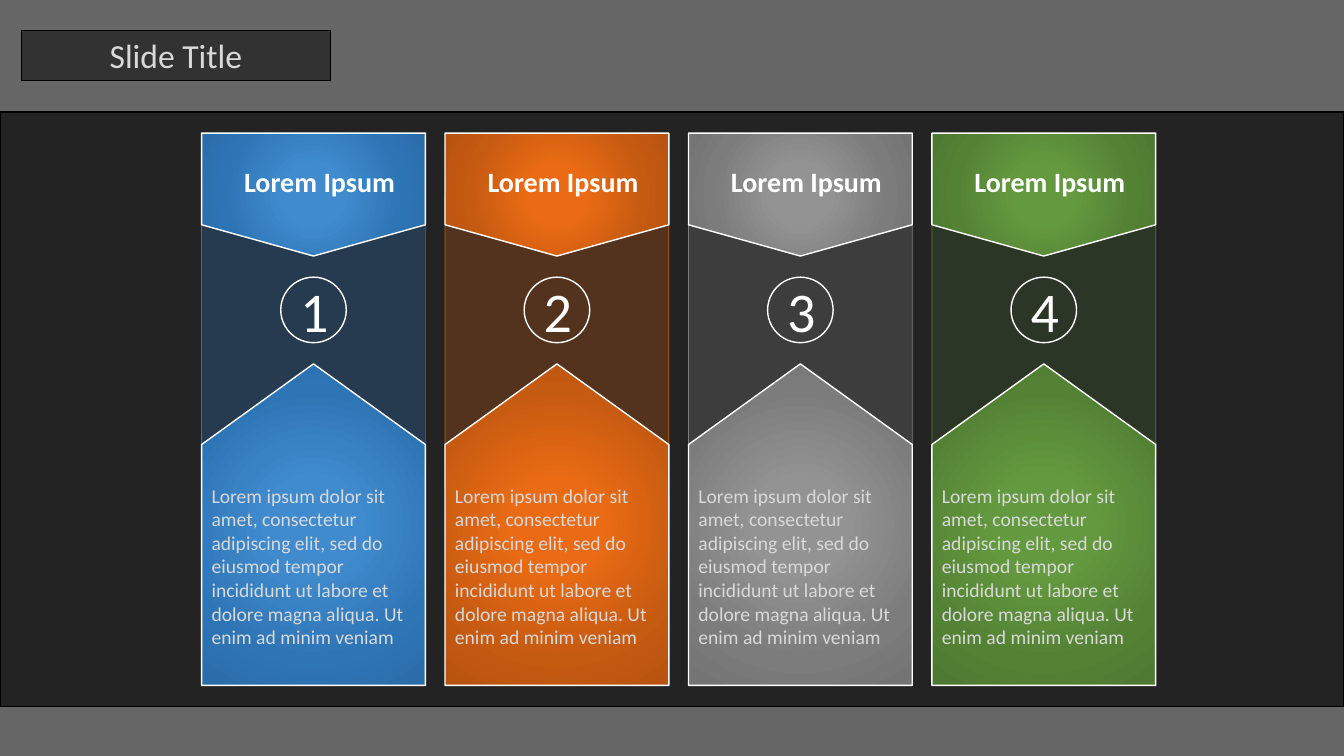
"""Build a dark slide with four numbered, arrow-shaped cards."""
from dataclasses import dataclass
from typing import Any

from lxml.etree import SubElement as Sub
from pptx import Presentation
from pptx.dml.color import RGBColor as Rgb
from pptx.enum.shapes import MSO_SHAPE as Kind
from pptx.enum.text import MSO_ANCHOR as Anchor
from pptx.enum.text import MSO_AUTO_SIZE as Fit
from pptx.enum.text import PP_ALIGN as Align
from pptx.oxml.ns import qn
from pptx.util import Emu, Pt

CELL = 91440
COLS, ROWS = 133.33, 75
LEFT, PITCH, WIDE = 20, 24.15, 22.2
HALF = WIDE / 2
Points = list[tuple[float, float]]

BACK: Points = [(0, 19.5), (HALF, 25.2), (WIDE, 21.8), (WIDE, 45.7),
                (HALF, 36.9), (0, 45.7), (0, 48.4)]
BACK.insert(1, (0, 21.8))
HEAD: Points = [(0, 13.2), (WIDE, 13.2), (WIDE, 22.3), (HALF, 25.4), (0, 22.3)]
BODY: Points = [(0, 68), (0, 44.1), (HALF, 36.1), (WIDE, 44.1), (WIDE, 68)]
LOREM = ("Lorem ipsum dolor sit amet, consectetur adipiscing elit, sed do "
         "eiusmod tempor incididunt ut labore et dolore magna aliqua. "
         "Ut enim ad minim veniam")


@dataclass(frozen=True)
class Theme:
    font: str = "Calibri"
    black: str = "000000"
    band: str = "0D0D0D"
    white: str = "FFFFFF"
    pale: str = "D9D9D9"
    title: int = 24
    head: int = 20
    body: int = 14
    digit: int = 40


@dataclass(frozen=True)
class Box:
    col: float
    row: float
    wide: float
    high: float

    def size(self) -> list[Emu]:
        return [unit(n) for n in (self.col, self.row, self.wide, self.high)]


@dataclass(frozen=True)
class Card:
    light: str
    main: str
    dark: str
    alpha: int = 30


THEME = Theme()
CARDS = [
    Card("408BCE", "2E75B6", "2B6DA9"),
    Card("EA6B14", "C55A11", "B85410"),
    Card("939393", "7C7C7C", "747474"),
    Card("649A3F", "548235", "4E7932", 20),
]


def unit(cells: float) -> Emu:
    return Emu(round(cells * CELL))


def edge(shape: Any, tint: str, width: float) -> None:
    shape.line.color.rgb = Rgb.from_string(tint)
    shape.line.width = Pt(width)


def flat(shape: Any, tint: str, alpha: int) -> None:
    shape.fill.solid()
    shape.fill.fore_color.rgb = Rgb.from_string(tint)
    solid = shape.element.spPr.find(qn("a:solidFill"))
    Sub(solid[0], qn("a:alpha"), val=str(alpha * 1000))


def glow(shape: Any, card: Card) -> None:
    shape.fill.gradient()
    grad = shape.element.spPr.find(qn("a:gradFill"))
    for part in list(grad):
        grad.remove(part)
    stops = Sub(grad, qn("a:gsLst"))
    for spot, tint in ((0, card.light), (23, card.light),
                       (69, card.main), (97, card.dark)):
        stop = Sub(stops, qn("a:gs"), pos=str(spot * 1000))
        Sub(stop, qn("a:srgbClr"), val=tint)
    path = Sub(grad, qn("a:path"), path="circle")
    Sub(path, qn("a:fillToRect"), l="50000", t="50000", r="50000", b="50000")


def write(shape: Any, text: str, size: int, tint: str,
          align: Align = Align.CENTER, bold: bool = False) -> Any:
    frame = shape.text_frame
    frame.text = text
    frame.word_wrap = True
    frame.vertical_anchor = Anchor.TOP
    para = frame.paragraphs[0]
    para.alignment = align
    font = para.runs[0].font
    font.name, font.size, font.bold = THEME.font, Pt(size), bold
    font.color.rgb = Rgb.from_string(tint)
    return frame


def form(shapes: Any, kind: Kind, box: Box) -> Any:
    shape = shapes.add_shape(kind, *box.size())
    shape.shadow.inherit = False
    return shape


def trace(shapes: Any, left: float, points: Points) -> Any:
    spots = [(unit(left + col), unit(row)) for col, row in points]
    pen = shapes.build_freeform(*spots[0])
    pen.add_line_segments(spots[1:], close=True)
    shape = pen.convert_to_shape()
    shape.shadow.inherit = False
    return shape


def shade(frame: Any) -> None:
    props = frame.paragraphs[0].runs[0].font.fill
    props.solid()
    props.fore_color.rgb = Rgb.from_string(THEME.white)
    run = frame.paragraphs[0].runs[0]
    solid = run.font.fill and run._r.rPr.find(qn("a:solidFill"))
    list_ = solid.makeelement(qn("a:effectLst"))
    solid.addnext(list_)
    cast = Sub(list_, qn("a:outerShdw"), blurRad="38100", dist="38100",
               dir="2700000", algn="tl")
    tint = Sub(cast, qn("a:srgbClr"), val=THEME.black)
    Sub(tint, qn("a:alpha"), val="43000")


def draw(shapes: Any, card: Card, rank: int) -> None:
    left = LEFT + PITCH * rank
    back = trace(shapes, left, BACK)
    flat(back, card.main, card.alpha)
    edge(back, card.main, 0.5)

    ring = form(shapes, Kind.OVAL, Box(left + 7.85, 27.5, 6.5, 6.5))
    ring.fill.background()
    edge(ring, THEME.white, 1)
    frame = write(ring, str(rank + 1), THEME.digit, THEME.white)
    frame.vertical_anchor = Anchor.MIDDLE

    group = shapes.add_group_shape()
    for owner, points in ((group.shapes, HEAD), (shapes, BODY)):
        panel = trace(owner, left, points)
        glow(panel, card)
        edge(panel, THEME.white, 1)

    label = group.shapes.add_textbox(*Box(left + 0.6, 15.8, WIDE, 4.4).size())
    frame = write(label, "Lorem Ipsum", THEME.head, THEME.white, bold=True)
    frame.auto_size = Fit.SHAPE_TO_FIT_TEXT
    shade(frame)

    note = shapes.add_textbox(*Box(left, 47.5, WIDE, 17.5).size())
    frame = write(note, LOREM, THEME.body, THEME.pale, Align.LEFT)
    frame.auto_size = Fit.SHAPE_TO_FIT_TEXT


def main() -> None:
    deck = Presentation()
    deck.slide_width, deck.slide_height = unit(COLS), unit(ROWS)
    shapes = deck.slides.add_slide(deck.slide_layouts[6]).shapes

    base = form(shapes, Kind.RECTANGLE, Box(0, 0, COLS, ROWS))
    flat(base, THEME.black, 60)
    base.line.fill.background()
    band = form(shapes, Kind.RECTANGLE, Box(0, 11.1, COLS, 59))
    flat(band, THEME.band, 75)
    edge(band, THEME.black, 1)

    for rank, card in enumerate(CARDS):
        draw(shapes, card, rank)

    title = form(shapes, Kind.RECTANGLE, Box(2.1, 3, 30.7, 5))
    flat(title, THEME.black, 50)
    edge(title, THEME.black, 0.75)
    frame = write(title, "Slide Title", THEME.title, THEME.pale)
    frame.auto_size = Fit.SHAPE_TO_FIT_TEXT
    deck.save("out.pptx")


if __name__ == "__main__":
    main()
